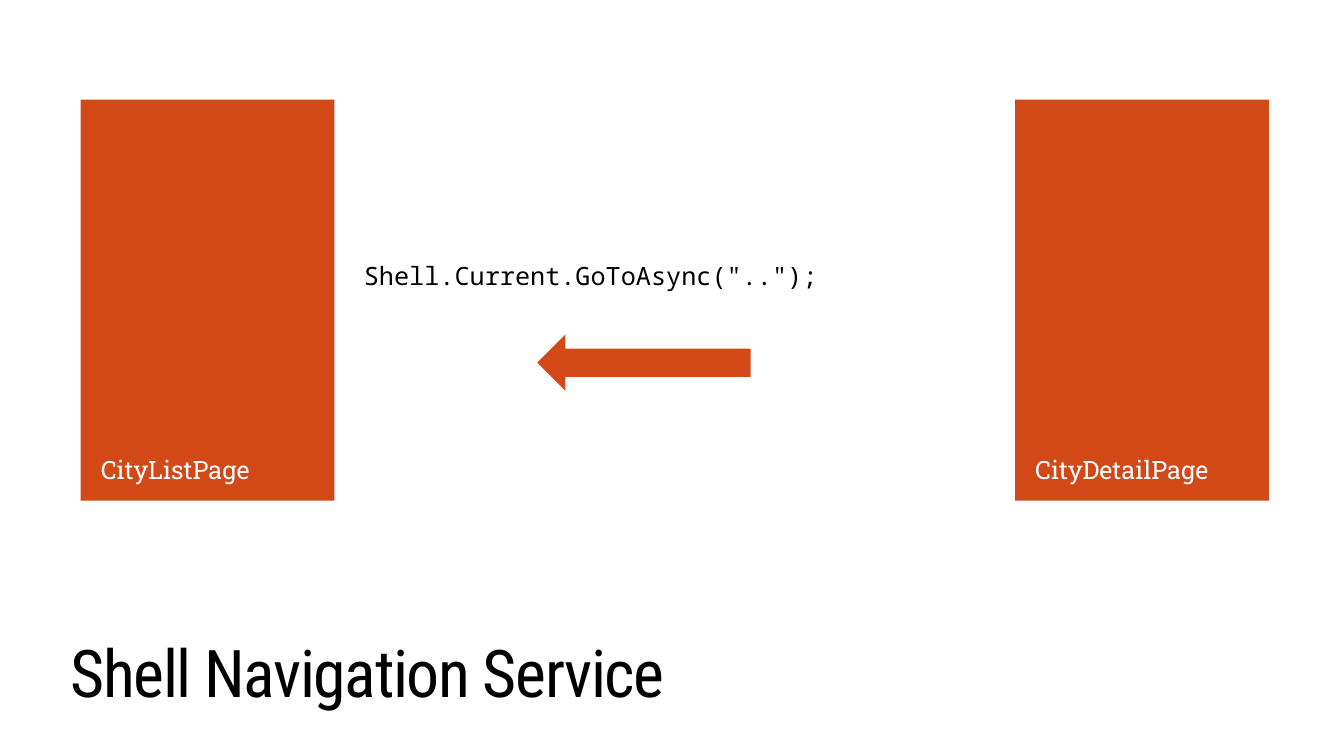
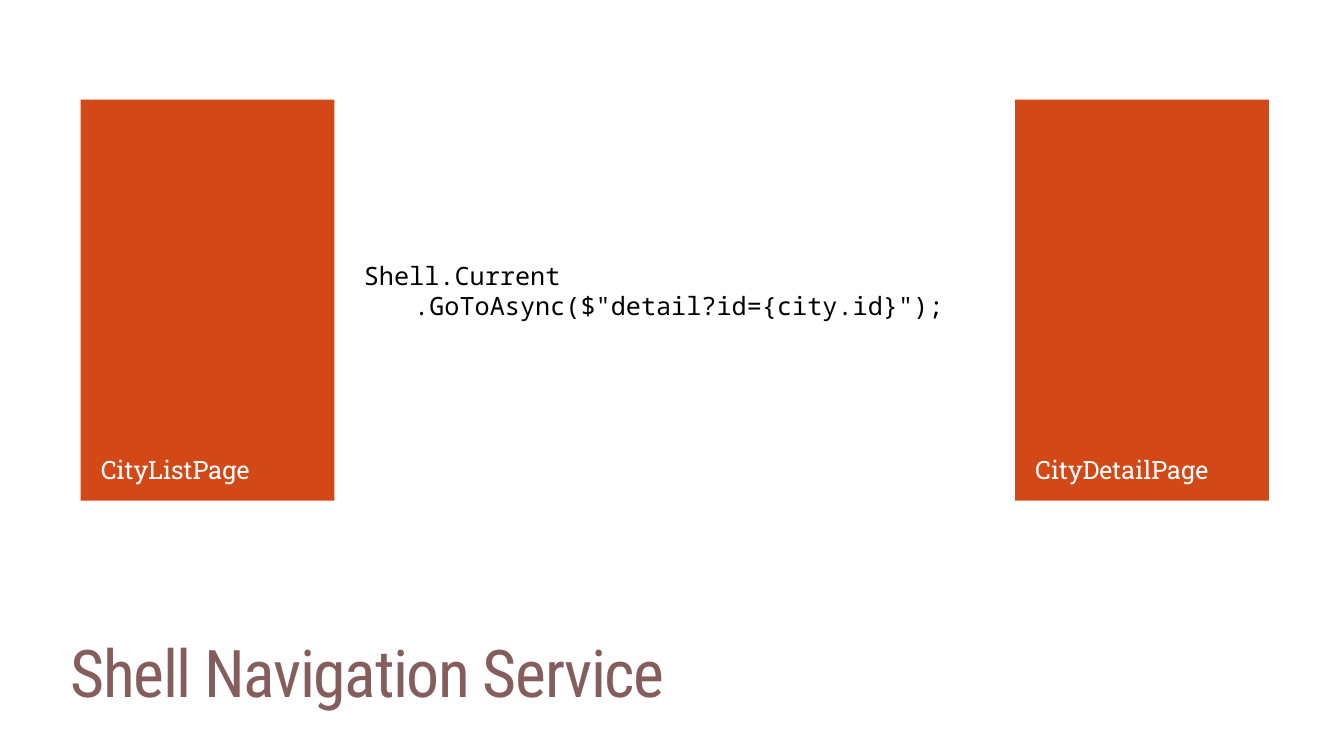
"""Build two slides on shell navigation between a list page and a detail page."""
from pptx import Presentation
from pptx.dml.color import RGBColor
from pptx.enum.shapes import MSO_SHAPE
from pptx.enum.text import MSO_ANCHOR, MSO_AUTO_SIZE, PP_ALIGN
from pptx.util import Cm, Pt

RECT, ARROW = MSO_SHAPE.RECTANGLE, MSO_SHAPE.LEFT_ARROW
MIDDLE, BOTTOM = MSO_ANCHOR.MIDDLE, MSO_ANCHOR.BOTTOM
LEFT = PP_ALIGN.LEFT
FIXED, GROW = MSO_AUTO_SIZE.NONE, MSO_AUTO_SIZE.SHAPE_TO_FIT_TEXT
TITLE_ONLY = 5

COLORS = {"accent": "D34817", "mauve": "855D5D", "black": "000000", "white": "FFFFFF"}
TITLE_FONT, PAGE_FONT, CODE_FONT = "Roboto Condensed", "Roboto Slab", "Noto Sans Mono"


class Deck:
    """Hold the shared style and the current slide."""

    def __init__(self):
        self.prs = Presentation()
        self.prs.slide_width, self.prs.slide_height = Cm(33.87), Cm(19.05)
        self.s = None

    def set_text(self, tf, text, font, size, color, line_spacing=1.0):
        tf.word_wrap = True
        tf.text = text
        for p in tf.paragraphs:
            p.alignment = LEFT
            p.line_spacing = line_spacing
            for r in p.runs:
                r.font.name = font
                r.font.size = Pt(size)
                r.font.color.rgb = RGBColor.from_string(COLORS[color])

    def slide(self, title, color):
        self.s = self.prs.slides.add_slide(self.prs.slide_layouts[TITLE_ONLY])
        sp = self.s.shapes.title
        sp.left, sp.top, sp.width, sp.height = Cm(1.52), Cm(16.05), Cm(30.78), Cm(1.98)
        tf = sp.text_frame
        tf.auto_size = FIXED
        tf.vertical_anchor = MIDDLE
        self.set_text(tf, title, TITLE_FONT, 47, color, 0.9)
        for r in tf.paragraphs[0].runs:
            r._r.get_or_add_rPr().set("spc", "-100")

    def shape(self, kind, left, top, width, height):
        sp = self.s.shapes.add_shape(kind, Cm(left), Cm(top), Cm(width), Cm(height))
        sp.shadow.inherit = False
        sp.fill.solid()
        sp.fill.fore_color.rgb = RGBColor.from_string(COLORS["accent"])
        sp.line.fill.background()
        return sp

    def page(self, name, left):
        tf = self.shape(RECT, left, 2.51, 6.4, 10.11).text_frame
        tf.margin_left = tf.margin_right = Cm(0.51)
        tf.margin_top = tf.margin_bottom = Cm(0.41)
        tf.vertical_anchor = BOTTOM
        self.set_text(tf, name, PAGE_FONT, 18, "white", 0.9)

    def code(self, text, height):
        sp = self.s.shapes.add_textbox(Cm(8.92), Cm(6.43), Cm(16), Cm(height))
        self.set_text(sp.text_frame, text, CODE_FONT, 18, "black")
        sp.text_frame.auto_size = GROW

    def arrow(self):
        self.shape(ARROW, 13.54, 8.43, 5.38, 1.42)

    def navigation(self, title_color, code, code_height):
        self.slide("Shell Navigation Service", title_color)
        self.code(code, code_height)
        self.page("CityListPage", 2.03)
        self.page("CityDetailPage", 25.58)


def main():
    deck = Deck()
    deck.navigation("black", 'Shell.Current.GoToAsync("..");', 1.02)
    deck.arrow()
    deck.navigation("mauve", 'Shell.Current\n\t.GoToAsync($"detail?id={city.id}");', 1.8)
    deck.prs.save("out.pptx")


if __name__ == "__main__":
    main()
